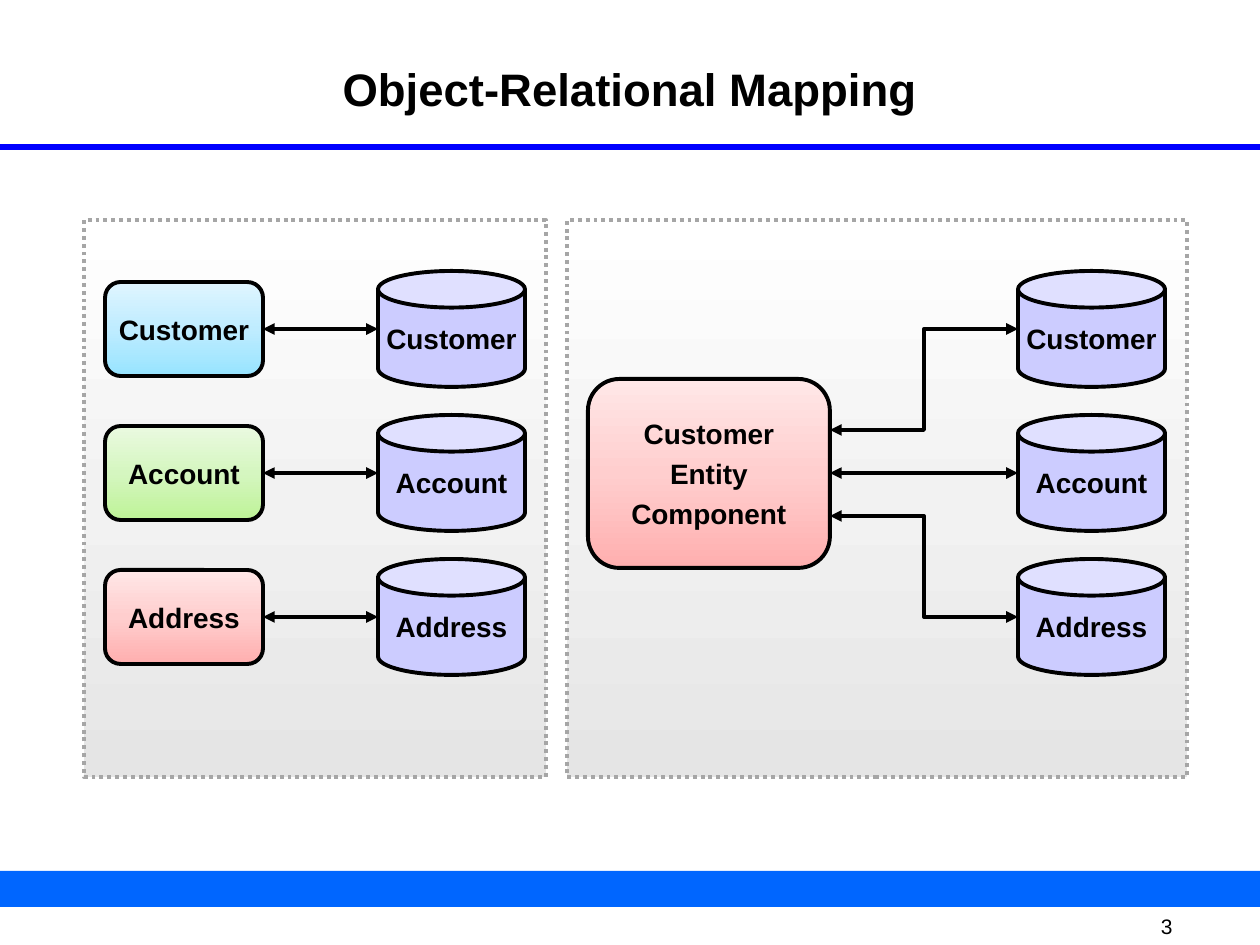
import copy
from dataclasses import dataclass
from typing import Optional

import lxml.etree
import pptx
import pptx.dml.color
import pptx.enum.dml
import pptx.enum.shapes
import pptx.enum.text
import pptx.oxml.ns
import pptx.util

EMU_PER_PX = 914400 / 126
FONT = "Arial"
COLORS = {
    "black": "000000",
    "bar": "0066FF",
    "rule": "0000FF",
    "panel_line": "A6A6A6",
    "table": "CCCCFF",
}
# Gradient stops from bottom to top
GRADIENTS = {
    "grey": ("E5E5E5", "F2F2F2", "FFFFFF"),
    "blue": ("97E4FF", "BFECFF", "DFF5FF"),
    "green": ("BEF397", "D5F6C0", "EAFAE0"),
    "red": ("FFAFAF", "FFCECE", "FFE7E7"),
}
SHAPE = pptx.enum.shapes.MSO_SHAPE
CONNECTOR = pptx.enum.shapes.MSO_CONNECTOR
ALIGN = pptx.enum.text.PP_ALIGN
ANCHOR = pptx.enum.text.MSO_ANCHOR


@dataclass(frozen=True)
class Box:
    left: int
    top: int
    width: int
    height: int

    def lengths(self) -> list:
        return [px(n) for n in (self.left, self.top, self.width, self.height)]


@dataclass(frozen=True)
class Entity:
    name: str
    gradient: str


def px(length: int) -> pptx.util.Emu:
    return pptx.util.Emu(round(length * EMU_PER_PX))


def rgb(name: str) -> pptx.dml.color.RGBColor:
    return pptx.dml.color.RGBColor.from_string(COLORS.get(name, name))


def write(frame, lines: list, size: int, bold: bool = True, align=ALIGN.CENTER) -> None:
    for index, line in enumerate(lines):
        paragraph = frame.paragraphs[0] if index == 0 else frame.add_paragraph()
        paragraph.alignment = align
        # One fifth of the line height
        paragraph.space_before = pptx.util.Pt(0.23 * size)
        run = paragraph.add_run()
        run.text = line
        run.font.name = FONT
        run.font.size = pptx.util.Pt(size)
        run.font.bold = bold
        run.font.color.rgb = rgb("black")


def set_gradient(shape, colors: tuple) -> None:
    shape.fill.gradient()
    shape.fill.gradient_angle = 90
    stop_list = shape._element.spPr.find(".//" + pptx.oxml.ns.qn("a:gsLst"))
    stop_list.insert(1, copy.deepcopy(stop_list[0]))
    for stop, position, color in zip(shape.fill.gradient_stops, (0, 0.5, 1), colors):
        stop.position = position
        stop.color.rgb = rgb(color)


def add_block(slide, kind, box: Box, fill: str, line: Optional[str] = "black",
              lines: tuple = ()):
    shape = slide.shapes.add_shape(kind, *box.lengths())
    shape.shadow.inherit = False
    if fill in GRADIENTS:
        set_gradient(shape, GRADIENTS[fill])
    else:
        shape.fill.solid()
        shape.fill.fore_color.rgb = rgb(fill)
    if line:
        shape.line.color.rgb = rgb(line)
        shape.line.width = pptx.util.Pt(2.25)
    else:
        shape.line.fill.background()
    if lines:
        frame = shape.text_frame
        frame.margin_left = frame.margin_right = 0
        frame.vertical_anchor = ANCHOR.MIDDLE
        write(frame, lines, 16)
    return shape


def add_table_can(slide, left: int, center: int, name: str) -> None:
    can = add_block(slide, SHAPE.CAN, Box(left, center - 58, 147, 116), "table",
                    lines=(name,))
    can.adjustments[0] = 0.316


def add_line(slide, start: tuple, end: tuple, color: str = "black", width: float = 2.25,
             arrows: bool = True) -> None:
    kind = CONNECTOR.STRAIGHT if start[1] == end[1] else CONNECTOR.ELBOW
    connector = slide.shapes.add_connector(kind, *[px(n) for n in start + end])
    connector.line.color.rgb = rgb(color)
    connector.line.width = pptx.util.Pt(width)
    if arrows:
        line = connector.line._get_or_add_ln()
        for tag in ("a:headEnd", "a:tailEnd"):
            lxml.etree.SubElement(line, pptx.oxml.ns.qn(tag), type="triangle")
    lxml.etree.SubElement(connector._element.spPr, pptx.oxml.ns.qn("a:effectLst"))


def add_frame(slide) -> None:
    # Title
    title = slide.shapes.title
    title.left, title.top, title.width, title.height = Box(84, 60, 1092, 121).lengths()
    frame = title.text_frame
    frame.auto_size = pptx.enum.text.MSO_AUTO_SIZE.NONE
    frame.vertical_anchor = ANCHOR.TOP
    frame.margin_left = frame.margin_right = px(1)
    frame.margin_top = frame.margin_bottom = px(1)
    write(frame, ["Object-Relational Mapping"], 26)

    # Rule, footer bar and page number
    add_line(slide, (0, 147), (1260, 147), "rule", 3, arrows=False)
    add_block(slide, SHAPE.RECTANGLE, Box(0, 871, 1260, 36), "bar", None)
    number = slide.shapes.add_textbox(*Box(1161, 914, 78, 24).lengths()).text_frame
    number.word_wrap = False
    number.vertical_anchor = ANCHOR.MIDDLE
    number.margin_left = number.margin_top = number.margin_bottom = 0
    write(number, ["3"], 12, bold=False, align=ALIGN.LEFT)


def main() -> None:
    presentation = pptx.Presentation()
    presentation.slide_width, presentation.slide_height = px(1260), px(945)
    slide = presentation.slides.add_slide(presentation.slide_layouts[5])
    add_frame(slide)

    # Panels
    for left, width in ((84, 462), (567, 620)):
        panel = add_block(slide, SHAPE.RECTANGLE, Box(left, 220, width, 557), "grey",
                          "panel_line")
        panel.line.dash_style = pptx.enum.dml.MSO_LINE.ROUND_DOT

    # One component for all three tables
    middle, row_pitch, port_pitch = 473, 144, 43
    add_block(slide, SHAPE.ROUNDED_RECTANGLE, Box(588, 379, 242, 189), "red",
              lines=("Customer", "Entity", "Component"))

    # One object per table on the left, shared component on the right
    entities = (Entity("Customer", "blue"), Entity("Account", "green"),
                Entity("Address", "red"))
    for row, entity in enumerate(entities, start=-1):
        center = middle + row * row_pitch
        add_block(slide, SHAPE.ROUNDED_RECTANGLE, Box(105, center - 47, 158, 94),
                  entity.gradient, lines=(entity.name,))
        add_table_can(slide, 378, center, entity.name)
        add_line(slide, (263, center), (378, center))
        add_table_can(slide, 1018, center, entity.name)
        add_line(slide, (830, middle + row * port_pitch), (1018, center))

    presentation.save("out.pptx")


if __name__ == "__main__":
    main()
